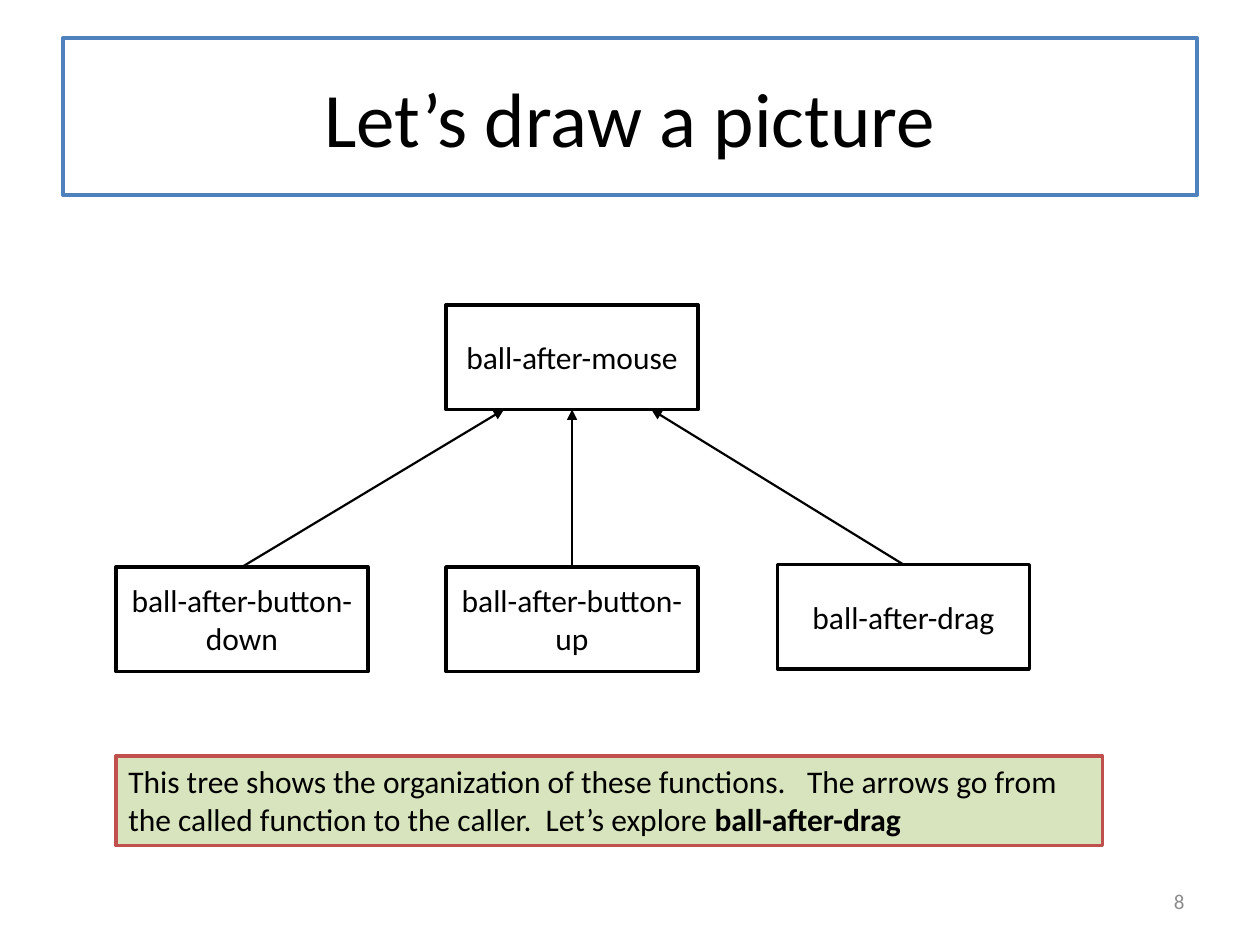
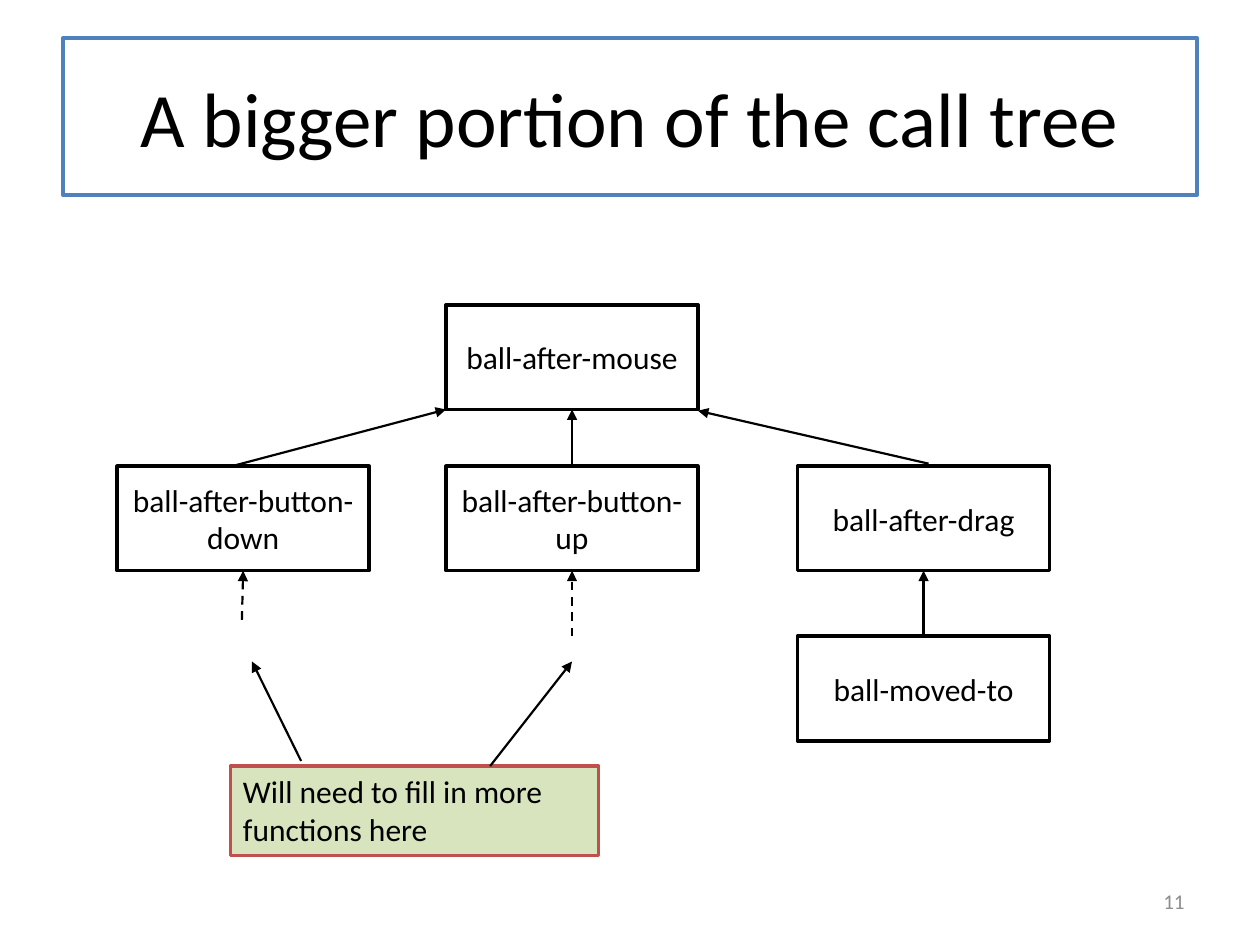
import pptx
import pptx.util
import pptx.dml.color
import pptx.enum.dml
import pptx.enum.shapes
import pptx.enum.text
import pptx.oxml.ns
import lxml.etree

Inches = pptx.util.Inches
Pt = pptx.util.Pt
RGBColor = pptx.dml.color.RGBColor
Align = pptx.enum.text.PP_ALIGN
Anchor = pptx.enum.text.MSO_ANCHOR
Fit = pptx.enum.text.MSO_AUTO_SIZE
Rect = pptx.enum.shapes.MSO_SHAPE.RECTANGLE
Straight = pptx.enum.shapes.MSO_CONNECTOR.STRAIGHT
Dash = pptx.enum.dml.MSO_LINE.DASH
qn = pptx.oxml.ns.qn

BLACK = RGBColor(0x00, 0x00, 0x00)
WHITE = RGBColor(0xFF, 0xFF, 0xFF)
BLUE = RGBColor(0x4F, 0x81, 0xBD)
RED = RGBColor(0xC0, 0x50, 0x4D)
GREEN = RGBColor(0xD7, 0xE4, 0xBD)
GREY = RGBColor(0x8C, 0x8C, 0x8C)

FONT = "Calibri"
WIDE, HIGH = 2, 0.83
MID = 3.54


def write(shape, text, bold="", size=18, color=BLACK, fill=WHITE, edge=BLACK,
          align=Align.CENTER, anchor=Anchor.MIDDLE, fit=Fit.NONE):
    shape.shadow.inherit = False
    if fill is not None:
        shape.fill.solid()
        shape.fill.fore_color.rgb = fill
        shape.line.color.rgb = edge
        shape.line.width = Pt(2)
    frame = shape.text_frame
    frame.word_wrap = True
    frame.auto_size = fit
    frame.vertical_anchor = anchor
    para = frame.paragraphs[0]
    para.alignment = align
    for part, strong in ((text, False), (bold, True)):
        if part:
            run = para.add_run()
            run.text = part
            run.font.name = FONT
            run.font.size = Pt(size)
            run.font.bold = strong
            run.font.color.rgb = color


def arrow(slide, start, end, dashed=False):
    line = slide.shapes.add_connector(Straight, *map(Inches, start + end))
    line.line.color.rgb = BLACK
    line.line.width = Pt(1.25)
    if dashed:
        line.line.dash_style = Dash
    edge = line.line._get_or_add_ln()
    lxml.etree.SubElement(edge, qn("a:tailEnd"), type="triangle")
    lxml.etree.SubElement(line._element.spPr, qn("a:effectLst"))


pages = [
    {
        "title": "Let’s draw a picture",
        "page": "8",
        "nodes": [
            ("ball-after-mouse", MID, 2.42),
            ("ball-after-drag", 6.17, 4.48),
            ("ball-after-button-up", MID, 4.5),
            ("ball-after-button-down", 0.92, 4.5),
        ],
        "note": (0.92, 6, 7.83, 0.71),
        "text": "This tree shows the organization of these functions.   "
                "The arrows go from the called function to the caller.  "
                "Let’s explore ",
        "bold": "ball-after-drag",
        "solid": [
            ((1.92, 4.5), (4, 3.25)),
            ((4.54, 4.5), (4.54, 3.25)),
            ((7.17, 4.48), (5.17, 3.25)),
        ],
        "dashed": [],
    },
    {
        "title": "A bigger portion of the call tree",
        "page": "11",
        "nodes": [
            ("ball-after-mouse", MID, 2.42),
            ("ball-after-drag", 6.33, 3.7),
            ("ball-after-button-up", MID, 3.7),
            ("ball-after-button-down", 0.93, 3.7),
            ("ball-moved-to", 6.33, 5.05),
        ],
        "note": (1.83, 6.08, 2.92, 0.71),
        "text": "Will need to fill in more functions here",
        "bold": "",
        "solid": [
            ((1.84, 3.7), (3.54, 3.25)),
            ((4.54, 3.7), (4.54, 3.25)),
            ((7.37, 3.68), (5.54, 3.26)),
            ((7.33, 5.05), (7.33, 4.53)),
            ((2.39, 6.04), (2, 5.25)),
            ((3.89, 6.08), (4.54, 5.25)),
        ],
        "dashed": [
            ((1.92, 4.92), (1.93, 4.53)),
            ((4.54, 5.05), (4.54, 4.53)),
        ],
    },
]

deck = pptx.Presentation()
deck.slide_width = Inches(10)
deck.slide_height = Inches(7.5)

for page in pages:
    slide = deck.slides.add_slide(deck.slide_layouts[5])
    shapes = slide.shapes

    title = shapes.title
    title.left, title.top = Inches(0.5), Inches(0.3)
    title.width, title.height = Inches(9), Inches(1.25)
    write(title, page["title"], size=44, edge=BLUE)

    label = shapes.add_textbox(*map(Inches, (7.17, 6.95, 2.33, 0.4)))
    write(label, page["page"], size=12, color=GREY, fill=None, align=Align.RIGHT)

    for name, left, top in page["nodes"]:
        node = shapes.add_shape(Rect, *map(Inches, (left, top, WIDE, HIGH)))
        write(node, name)

    note = shapes.add_shape(Rect, *map(Inches, page["note"]))
    write(note, page["text"], bold=page["bold"], fill=GREEN, edge=RED,
          align=Align.LEFT, anchor=Anchor.TOP, fit=Fit.SHAPE_TO_FIT_TEXT)

    for start, end in page["solid"]:
        arrow(slide, start, end)
    for start, end in page["dashed"]:
        arrow(slide, start, end, dashed=True)

deck.save("out.pptx")
